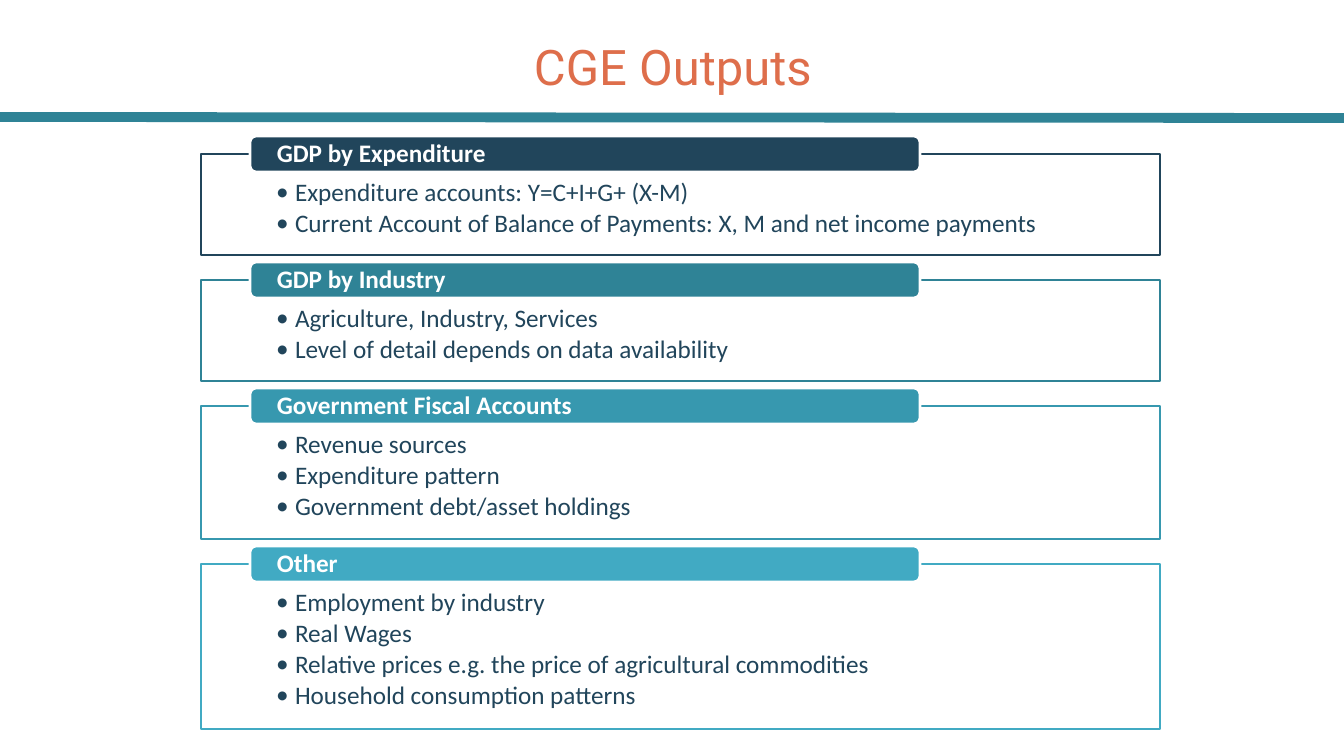
"""Build the CGE Outputs slide with four titled bullet panels."""
from dataclasses import dataclass

from lxml import etree
from pptx import Presentation
from pptx.dml.color import RGBColor
from pptx.enum.shapes import MSO_CONNECTOR, MSO_SHAPE
from pptx.enum.text import MSO_ANCHOR, PP_ALIGN
from pptx.oxml.ns import qn
from pptx.util import Pt

RECTANGLE, ROUNDED = MSO_SHAPE.RECTANGLE, MSO_SHAPE.ROUNDED_RECTANGLE
STRAIGHT = MSO_CONNECTOR.STRAIGHT
TOP, MIDDLE = MSO_ANCHOR.TOP, MSO_ANCHOR.MIDDLE
LEFT, CENTER = PP_ALIGN.LEFT, PP_ALIGN.CENTER
PIXEL = 914400 / 100.8


@dataclass(frozen=True)
class Theme:
    title: str = "DE6E4B"
    rule: str = "2F8396"
    text: str = "21455B"
    white: str = "FFFFFF"
    title_font: str = "Roboto"
    body_font: str = "Calibri"
    title_size: int = 35
    body_size: int = 18


theme = Theme()


def px(*lengths):
    return [round(length * PIXEL) for length in lengths]


def write_text(shape, text, *, color, size=theme.body_size, font=theme.body_font,
               bold=False, align=LEFT, anchor=TOP, insets=(0, 0, 0, 0),
               line_spacing=0.9, space_after=0, bullet_indent=0):
    frame = shape.text_frame
    frame.word_wrap = True
    frame.vertical_anchor = anchor
    (frame.margin_left, frame.margin_top,
     frame.margin_right, frame.margin_bottom) = px(*insets)
    frame.text = text
    for paragraph in frame.paragraphs:
        paragraph.alignment = align
        paragraph.line_spacing = line_spacing
        paragraph.space_before = Pt(0)
        paragraph.space_after = Pt(space_after)
        for run in paragraph.runs:
            run.font.name = font
            run.font.size = Pt(size)
            run.font.bold = bold
            run.font.color.rgb = RGBColor.from_string(color)
        if bullet_indent:
            properties = paragraph._p.get_or_add_pPr()
            indent, = px(bullet_indent)
            properties.set("marL", str(indent))
            properties.set("indent", str(-indent))
            etree.SubElement(properties, qn("a:buFont"), typeface=font)
            etree.SubElement(properties, qn("a:buChar"), char="•")


presentation = Presentation()
presentation.slide_width, presentation.slide_height = px(1344, 756)
slide = presentation.slides.add_slide(presentation.slide_layouts[6])

title = slide.shapes.add_textbox(*px(0, 34, 1346, 64))
write_text(title, "CGE Outputs", color=theme.title, size=theme.title_size,
           font=theme.title_font, align=CENTER, anchor=MIDDLE, line_spacing=1)

rule = slide.shapes.add_connector(STRAIGHT, *px(0, 117, 1346, 118))
rule.line.color.rgb = RGBColor.from_string(theme.rule)
rule.line.width = Pt(7)
etree.SubElement(rule._element.spPr, qn("a:effectLst"))

panels = [
    ("GDP by Expenditure", "21455B", [
        "Expenditure accounts: Y=C+I+G+ (X-M)",
        "Current Account of Balance of Payments: X, M and net income payments"]),
    ("GDP by Industry", "2F8396", [
        "Agriculture, Industry, Services",
        "Level of detail depends on data availability"]),
    ("Government Fiscal Accounts", "3798AF", [
        "Revenue sources",
        "Expenditure pattern",
        "Government debt/asset holdings"]),
    ("Other", "41AAC3", [
        "Employment by industry",
        "Real Wages",
        "Relative prices e.g. the price of agricultural commodities",
        "Household consumption patterns"]),
]

panel_top = 154
for heading, color, items in panels:
    panel_height = 37 + 32 * len(items)
    panel = slide.shapes.add_shape(RECTANGLE, *px(201, panel_top, 959, panel_height))
    tab = slide.shapes.add_shape(ROUNDED, *px(250, panel_top - 18, 670, 36))
    for shape, fill, line in ((panel, theme.white, color), (tab, color, theme.white)):
        shape.shadow.inherit = False
        shape.fill.solid()
        shape.fill.fore_color.rgb = RGBColor.from_string(fill)
        shape.line.color.rgb = RGBColor.from_string(line)
        shape.line.width = Pt(2)
    panel_color = panel._element.spPr.find(qn("a:solidFill")).find(qn("a:srgbClr"))
    etree.SubElement(panel_color, qn("a:alpha"), val="90000")
    write_text(panel, "\n".join(items), color=theme.text, insets=(75, 26, 74, 10),
               space_after=2.7, bullet_indent=19)
    write_text(tab, heading, color=theme.white, bold=True, anchor=MIDDLE,
               insets=(25, 0, 25, 0))
    panel_top += panel_height + 25

presentation.save("out.pptx")
